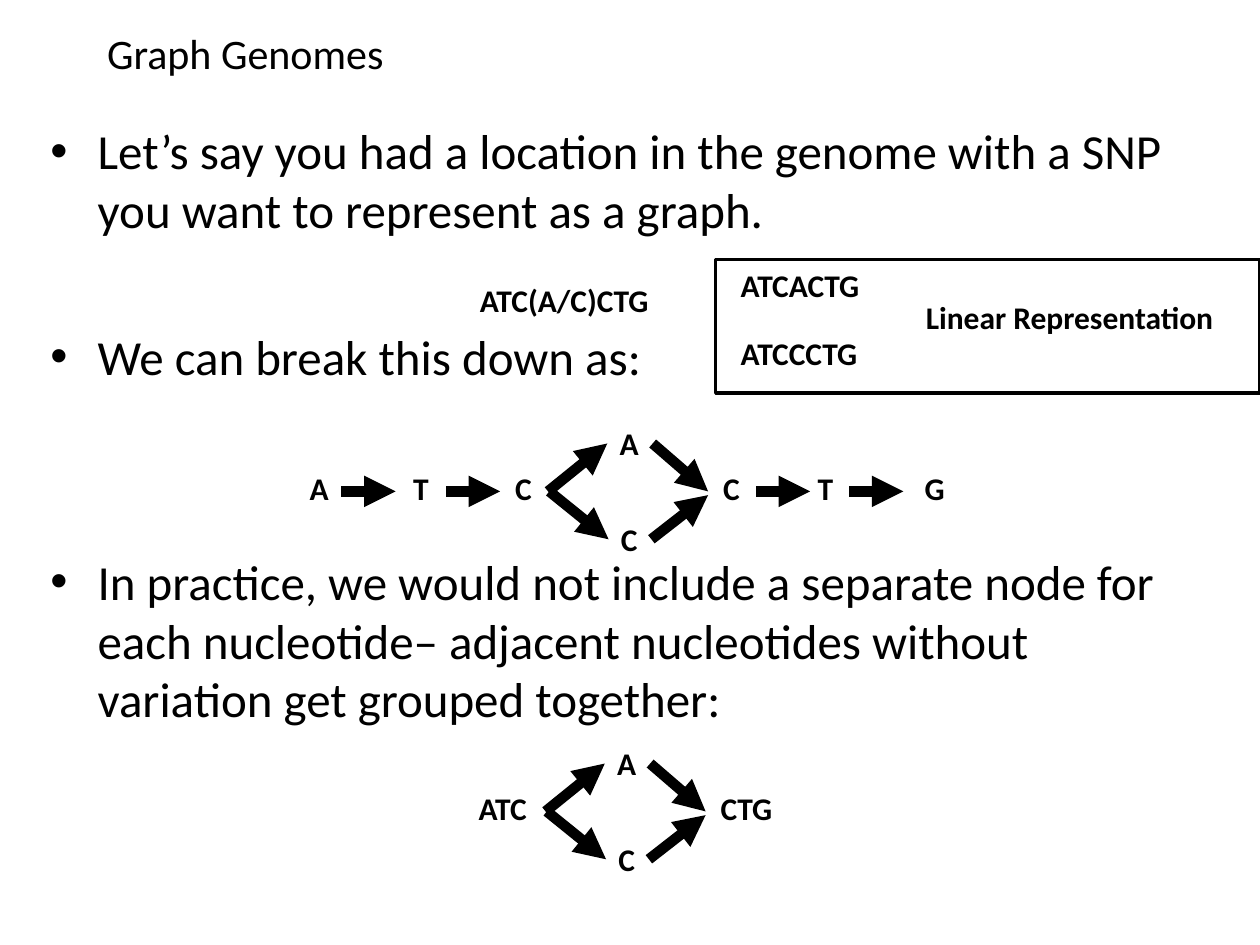
from lxml.etree import SubElement
from pptx import Presentation
from pptx.dml.color import RGBColor
from pptx.enum.shapes import MSO_CONNECTOR, MSO_SHAPE
from pptx.enum.text import MSO_ANCHOR, PP_ALIGN
from pptx.oxml.ns import qn
from pptx.util import Inches, Pt


def color(value):
    return RGBColor.from_string(value)


class GenomeSlide:
    font = "Calibri"
    ink = "000000"
    label_height = 0.4

    def __init__(self, deck):
        self.page = deck.slides.add_slide(deck.slide_layouts[1])

    def span(self, para, text, size, bold=False):
        span = para.add_run()
        span.text = text
        span.font.name = self.font
        span.font.size = Pt(size)
        span.font.bold = bold
        span.font.color.rgb = color(self.ink)

    def place(self, box, left, top, width, height):
        box.left, box.top = Inches(left), Inches(top)
        box.width, box.height = Inches(width), Inches(height)

    def title(self, text, *area):
        box = self.page.shapes.title
        self.place(box, *area)
        box.text_frame.vertical_anchor = MSO_ANCHOR.MIDDLE
        para = box.text_frame.paragraphs[0]
        para.alignment = PP_ALIGN.LEFT
        self.span(para, text, 24)

    def bullets(self, items, *area):
        box = self.page.placeholders[1]
        self.place(box, *area)
        frame = box.text_frame
        for index, (text, gap) in enumerate(items):
            para = frame.add_paragraph() if index else frame.paragraphs[0]
            para.space_before = Pt(gap)
            self.span(para, text, 28)

    def label(self, text, left, top, width):
        box = self.page.shapes.add_textbox(
            Inches(left), Inches(top), Inches(width), Inches(self.label_height))
        box.text_frame.word_wrap = False
        self.span(box.text_frame.paragraphs[0], text, 18, bold=True)

    def arrow(self, x1, y1, x2, y2):
        arrow = self.page.shapes.add_connector(
            MSO_CONNECTOR.STRAIGHT, Inches(x1), Inches(y1), Inches(x2), Inches(y2))
        arrow.line.color.rgb = color(self.ink)
        arrow.line.width = Pt(6)
        SubElement(arrow.line._get_or_add_ln(), qn("a:tailEnd"), type="triangle")
        SubElement(arrow._element.spPr, qn("a:effectLst"))

    def frame(self, *area):
        box = self.page.shapes.add_shape(MSO_SHAPE.RECTANGLE, *map(Inches, area))
        box.shadow.inherit = False
        box.fill.background()
        box.line.color.rgb = color(self.ink)
        box.line.width = Pt(2)

    def branch(self, left, middle):
        """Two alternative bases between a shared start and end."""
        self.label("A", left + 0.47, middle - 0.58, 0.35)
        self.label("C", left + 0.48, middle + 0.18, 0.34)
        self.arrow(left, middle, left + 0.47, middle - 0.38)
        self.arrow(left + 0.01, middle, left + 0.48, middle + 0.38)
        self.arrow(left + 0.83, middle - 0.38, left + 1.27, middle)
        self.arrow(left + 0.82, middle + 0.38, left + 1.27, middle + 0.03)


def main():
    deck = Presentation()
    deck.slide_width, deck.slide_height = Inches(10), Inches(7.5)
    slide = GenomeSlide(deck)

    # Title and explanation; the gaps leave room for the diagrams
    slide.title("Graph Genomes", 0.75, 0.18, 7.55, 0.47)
    slide.bullets([
        ("Let’s say you had a location in the genome with a SNP "
         "you want to represent as a graph.", 0),
        ("We can break this down as:", 50),
        ("In practice, we would not include a separate node for each nucleotide– "
         "adjacent nucleotides without variation get grouped together:", 95),
    ], 0.3, 0.91, 9.31, 6.47)

    # Linear representation
    slide.label("ATC(A/C)CTG", 3.71, 2.18, 1.55)
    slide.label("ATCACTG", 5.78, 2.06, 1.15)
    slide.label("ATCCCTG", 5.78, 2.6, 1.13)
    slide.label("Linear Representation", 7.25, 2.32, 2.5)
    slide.frame(5.68, 2.06, 4.32, 1.06)

    # Graph with one node per nucleotide
    middle = 3.9
    for base, left, width in [("A", 2.36, 0.35), ("T", 3.18, 0.33), ("C", 3.99, 0.34),
                              ("C", 5.64, 0.34), ("T", 6.39, 0.33), ("G", 7.24, 0.36)]:
        slide.label(base, left, middle - 0.23, width)
    for start in (2.71, 3.54, 6, 6.74):
        slide.arrow(start, middle, start + 0.43, middle)
    slide.branch(4.35, middle)

    # Graph with grouped nucleotides
    middle = 6.44
    slide.label("ATC", 3.7, middle - 0.23, 0.59)
    slide.label("CTG", 5.62, middle - 0.23, 0.62)
    slide.branch(4.33, middle)

    deck.save("out.pptx")


if __name__ == "__main__":
    main()
